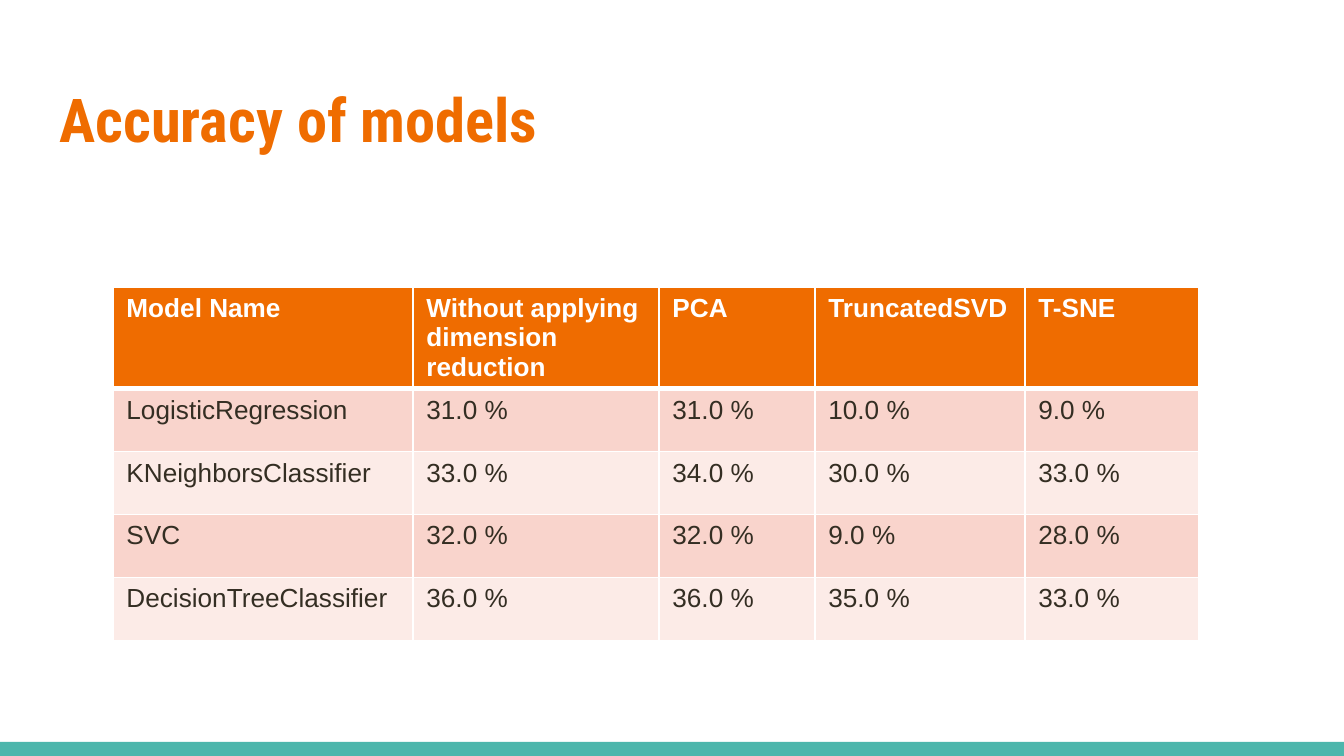
"""Build a slide with a table of model accuracies."""
from dataclasses import dataclass

from lxml import etree
from pptx import Presentation
from pptx import util as u
from pptx.dml.color import RGBColor
from pptx.enum import shapes, text
from pptx.oxml.ns import qn

SCALE = u.Inches(10) / 1344
ORANGE = RGBColor(0xEF, 0x6C, 0x00)
TEAL = RGBColor(0x4D, 0xB6, 0xAC)
WHITE = RGBColor(0xFF, 0xFF, 0xFF)
INK = RGBColor(0x34, 0x2E, 0x23)
BANDS = (RGBColor(0xF9, 0xD4, 0xCC), RGBColor(0xFC, 0xEB, 0xE7))

COLUMNS = (
    ("Model Name", 300),
    ("Without applying dimension reduction", 246),
    ("PCA", 156),
    ("TruncatedSVD", 210),
    ("T-SNE", 174),
)
HEADER_HEIGHT, ROW_HEIGHT = 101, 63


@dataclass(frozen=True)
class Model:
    name: str
    scores: tuple[float, ...]


@dataclass(frozen=True)
class CellStyle:
    fill: RGBColor
    color: RGBColor
    bold: bool
    top: int
    bottom: int


MODELS = (
    Model("LogisticRegression", (31, 31, 10, 9)),
    Model("KNeighborsClassifier", (33, 34, 30, 33)),
    Model("SVC", (32, 32, 9, 28)),
    Model("DecisionTreeClassifier", (36, 36, 35, 33)),
)


def px(n: int) -> int:
    return round(n * SCALE)


def add_run(p, words: str, font: str, size: float, color: RGBColor, bold: bool) -> None:
    r = p.add_run()
    r.text = words
    r.font.name = font
    r.font.size = u.Pt(size)
    r.font.bold = bold
    r.font.color.rgb = color


def add_border(cell, side: str, width: int) -> None:
    ln = etree.SubElement(cell._tc.get_or_add_tcPr(), qn(f"a:ln{side}"), w=str(u.Pt(width)))
    fill = etree.SubElement(ln, qn("a:solidFill"))
    etree.SubElement(fill, qn("a:srgbClr"), val=str(WHITE))


def fill_cell(cell, words: str, style: CellStyle) -> None:
    for side, width in (("L", 1), ("R", 1), ("T", style.top), ("B", style.bottom)):
        add_border(cell, side, width)
    cell.fill.solid()
    cell.fill.fore_color.rgb = style.fill
    add_run(cell.text_frame.paragraphs[0], words, "Arial", 14, style.color, style.bold)


def add_bar(slide) -> None:
    sp = slide.shapes.add_shape(shapes.MSO_SHAPE.RECTANGLE, 0, px(742), px(1344), px(14))
    sp.shadow.inherit = False
    sp.fill.solid()
    sp.fill.fore_color.rgb = TEAL
    sp.line.fill.background()


def set_title(slide, words: str) -> None:
    sp = slide.shapes.title
    sp.left, sp.top, sp.width, sp.height = px(46), px(66), px(1252), px(104)
    tf = sp.text_frame
    tf.margin_left = tf.margin_right = tf.margin_top = tf.margin_bottom = u.Inches(0.1)
    tf.vertical_anchor = text.MSO_ANCHOR.MIDDLE
    tf.auto_size = text.MSO_AUTO_SIZE.NONE
    p = tf.paragraphs[0]
    p.alignment = text.PP_ALIGN.LEFT
    add_run(p, words, "Roboto Condensed", 32.4, ORANGE, True)


def add_accuracy_table(slide) -> None:
    heights = [HEADER_HEIGHT] + [ROW_HEIGHT] * len(MODELS)
    width = sum(w for _, w in COLUMNS)
    table = slide.shapes.add_table(
        len(heights), len(COLUMNS), px(113), px(287), px(width), px(sum(heights))
    ).table
    for column, (_, w) in zip(table.columns, COLUMNS):
        column.width = px(w)
    for row, h in zip(table.rows, heights):
        row.height = px(h)

    header = CellStyle(ORANGE, WHITE, True, 1, 3)
    for i, (label, _) in enumerate(COLUMNS):
        fill_cell(table.cell(0, i), label, header)
    for j, model in enumerate(MODELS):
        style = CellStyle(BANDS[j % 2], INK, False, 1 if j else 3, 1)
        words = [model.name] + [f"{score:.1f} %" for score in model.scores]
        for i, word in enumerate(words):
            fill_cell(table.cell(j + 1, i), word, style)


def main() -> None:
    prs = Presentation()
    prs.slide_width, prs.slide_height = px(1344), px(756)
    slide = prs.slides.add_slide(prs.slide_layouts[5])
    add_bar(slide)
    set_title(slide, "Accuracy of models")
    add_accuracy_table(slide)
    prs.save("out.pptx")


if __name__ == "__main__":
    main()
